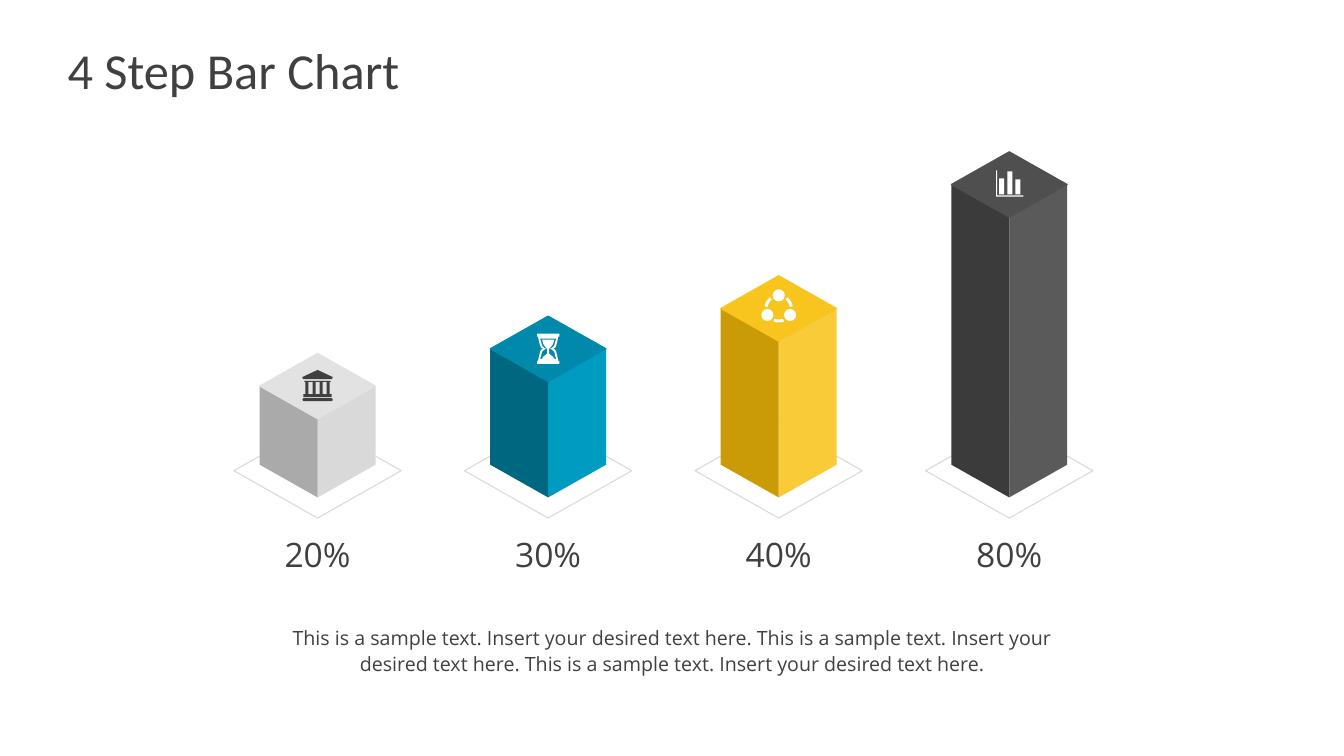
"""Build a slide with four isometric bars, their shares and a caption."""
import math

from pptx import Presentation, util as u
from pptx.dml.color import RGBColor
from pptx.enum import shapes, text

INK = RGBColor(0x40, 0x40, 0x40)
WHITE = RGBColor(0xFF, 0xFF, 0xFF)
TILE = RGBColor(0xD9, 0xD9, 0xD9)
SILVER = [RGBColor(0xD9, 0xD9, 0xD9), RGBColor(0xAA, 0xAA, 0xAA), RGBColor(0xE2, 0xE2, 0xE2)]
BLUE = [RGBColor(0x00, 0x9B, 0xC0), RGBColor(0x00, 0x67, 0x80), RGBColor(0x00, 0x89, 0xAA)]
GOLD = [RGBColor(0xF9, 0xCB, 0x39), RGBColor(0xCA, 0x9B, 0x06), RGBColor(0xF8, 0xC4, 0x1E)]
GREY = [RGBColor(0x5A, 0x5A, 0x5A), RGBColor(0x3B, 0x3B, 0x3B), RGBColor(0x4F, 0x4F, 0x4F)]

FIRST_BAR, LAST_BAR = 3.15, 10.01
TILE_ROW, FOOT_ROW, LABEL_ROW = 4.67, 4.61, 5.25
HALF_WIDTH, HALF_DEPTH = 0.575, 0.325
CAPTION = ("This is a sample text. Insert your desired text here. "
           "This is a sample text. Insert your desired text here. "
           "This is a sample text. Insert your desired text here.")


def block(left, top, width, height):
    """Return the corners of a rectangle."""
    return [(left, top), (left + width, top),
            (left + width, top + height), (left, top + height)]


def diamond(half_width, half_depth):
    """Return the corners of a diamond around the origin."""
    return [(0, -half_depth), (half_width, 0), (0, half_depth), (-half_width, 0)]


def mirrored(right):
    """Close a right-hand profile with its reflection on the left."""
    return right + [(-x, y) for x, y in reversed(right)]


def mirrored_twice(quarter):
    """Close an upper right profile with its reflections below and on the left."""
    return mirrored(quarter + [(x, -y) for x, y in reversed(quarter)])


def polar(radius, degrees):
    """Return the point at a radius and an angle."""
    angle = math.radians(degrees)
    return radius * math.cos(angle), radius * math.sin(angle)


class BarSlide:
    """Draw on one slide, on a grid of one-inch columns and rows."""

    heading_font, body_font = "Calibri", "Open Sans"
    cell = u.Inches(1)

    def __init__(self, deck):
        """Add the slide to the deck."""
        self.slide = deck.slides.add_slide(deck.slide_layouts[5])

    def cells(self, *counts):
        """Turn counts of cells into lengths."""
        return [u.Emu(round(count * self.cell)) for count in counts]

    def paint(self, shape, fill, line=None):
        """Set the fill and the hairline of a shape."""
        shape.shadow.inherit = False
        if fill is None:
            shape.fill.background()
        else:
            shape.fill.solid()
            shape.fill.fore_color.rgb = fill
        if line is None:
            shape.line.fill.background()
        else:
            shape.line.color.rgb = line
            shape.line.width = u.Pt(0)

    def outline(self, origin, contours, fill, line=None):
        """Draw closed contours around an origin as one shape."""
        column, row = origin
        placed = [[self.cells(column + x, row + y) for x, y in contour]
                  for contour in contours]
        builder = self.slide.shapes.build_freeform(*placed[0][0], scale=1.0)
        for contour in placed:
            builder.move_to(*contour[0])
            builder.add_line_segments(contour[1:], close=True)
        self.paint(builder.convert_to_shape(), fill, line)

    def preset(self, kind, origin, box, fill):
        """Draw a preset shape whose box is given from an origin."""
        left, top, width, height = box
        place = self.cells(origin[0] + left, origin[1] + top, width, height)
        shape = self.slide.shapes.add_shape(kind, *place)
        self.paint(shape, fill)
        return shape

    def style(self, paragraph, font, size):
        """Format the runs of a paragraph."""
        for run in paragraph.runs:
            run.font.name, run.font.size = font, u.Pt(size)
            run.font.color.rgb = INK

    def title(self, words, box):
        """Fill the title placeholder."""
        heading = self.slide.shapes.title
        heading.left, heading.top, heading.width, heading.height = self.cells(*box)
        frame = heading.text_frame
        frame.text = words
        frame.margin_left = frame.margin_right = 0
        frame.vertical_anchor = text.MSO_ANCHOR.MIDDLE
        frame.paragraphs[0].alignment = text.PP_ALIGN.LEFT
        self.style(frame.paragraphs[0], self.heading_font, 36)

    def words(self, words, box, size, wrap=True, spacing=None):
        """Add centred text."""
        frame = self.slide.shapes.add_textbox(*self.cells(*box)).text_frame
        frame.text = words
        frame.word_wrap = wrap
        frame.auto_size = text.MSO_AUTO_SIZE.SHAPE_TO_FIT_TEXT
        paragraph = frame.paragraphs[0]
        paragraph.alignment = text.PP_ALIGN.CENTER
        paragraph.line_spacing = spacing
        self.style(paragraph, self.body_font, size)

    def bar(self, column, top, colours, icon, share):
        """Draw a bar on its tile, with an icon on top and its share below."""
        right, left, lid = colours
        centre, drop = (column, top), FOOT_ROW - top
        face = [(0, HALF_DEPTH), (HALF_WIDTH, 0),
                (HALF_WIDTH, drop), (0, drop + HALF_DEPTH)]
        self.outline((column, TILE_ROW), [diamond(0.83, 0.47)], None, TILE)
        self.outline(centre, [face], right)
        self.outline(centre, [[(-x, y) for x, y in face]], left)
        self.outline(centre, [diamond(HALF_WIDTH, HALF_DEPTH)], lid, lid)
        icon(centre)
        self.words(share, (column - 0.43, LABEL_ROW, 0.86, 0.5), 24, wrap=False)

    def bank(self, centre):
        """Draw a bank with four pillars."""
        roof = mirrored([(0, -0.16), (0.15, -0.09), (0.15, -0.08), (0.14, -0.07)])
        hall = mirrored([(0.13, -0.05), (0.13, -0.04), (0.12, -0.04), (0.12, 0.08),
                         (0.14, 0.08), (0.14, 0.11)])
        windows = [block(-0.09 + 0.07 * i, -0.04, 0.04, 0.12) for i in range(3)]
        self.outline(centre, [roof], INK)
        self.outline(centre, [hall, *windows], INK)
        step = self.preset(shapes.MSO_SHAPE.ROUNDED_RECTANGLE, centre,
                           (-0.15, 0.12, 0.3, 0.03), INK)
        step.adjustments[0] = 0.5

    def hourglass(self, centre):
        """Draw an hourglass with sand."""
        frame = mirrored_twice([(0.11, -0.15), (0.11, -0.12), (0.1, -0.12), (0.09, -0.07),
                                (0.08, -0.03), (0.07, -0.01), (0.05, 0)])
        glass = mirrored_twice([(0.08, -0.1), (0.07, -0.07), (0.06, -0.03),
                                (0.04, -0.01), (0.02, 0)])
        sand = mirrored([(0.06, -0.09), (0.05, -0.05), (0.03, -0.02), (0.01, 0),
                         (0.01, 0.05), (0.05, 0.08), (0.06, 0.1)])
        self.outline(centre, [frame, glass, sand], WHITE)

    def network(self, centre):
        """Draw three nodes joined by arcs."""
        for turn in (30, 150, 270):
            x, y = polar(0.13, turn)
            self.preset(shapes.MSO_SHAPE.OVAL, centre,
                        (x - 0.06, y - 0.06, 0.12, 0.12), WHITE)
            sweep = range(turn + 38, turn + 83, 4)
            arc = [polar(0.14, angle) for angle in sweep]
            arc += [polar(0.11, angle) for angle in reversed(sweep)]
            self.outline(centre, [arc], WHITE)

    def columns(self, centre):
        """Draw a small column chart."""
        axes = [(-0.13, -0.14), (-0.12, -0.14), (-0.12, 0.11),
                (0.14, 0.11), (0.14, 0.12), (-0.13, 0.12)]
        self.outline(centre, [axes], WHITE)
        for i, height in enumerate((0.16, 0.23, 0.15)):
            self.preset(shapes.MSO_SHAPE.RECTANGLE, centre,
                        (-0.1 + 0.08 * i, 0.1 - height, 0.05, height), WHITE)


def main():
    """Build and save the deck."""
    deck = Presentation()
    deck.slide_width, deck.slide_height = u.Inches(13.33), u.Inches(7.5)
    page = BarSlide(deck)
    page.title("4 Step Bar Chart", (0.67, 0.3, 12, 0.78))
    bars = [(3.83, SILVER, page.bank, "20%"), (3.46, BLUE, page.hourglass, "30%"),
            (3.06, GOLD, page.network, "40%"), (1.83, GREY, page.columns, "80%")]
    pitch = (LAST_BAR - FIRST_BAR) / (len(bars) - 1)
    for i, bar in enumerate(bars):
        page.bar(FIRST_BAR + i * pitch, *bar)
    page.words(CAPTION, (2.8, 6.14, 7.74, 0.62), 14, spacing=1.1)
    deck.save("out.pptx")


if __name__ == "__main__":
    main()
